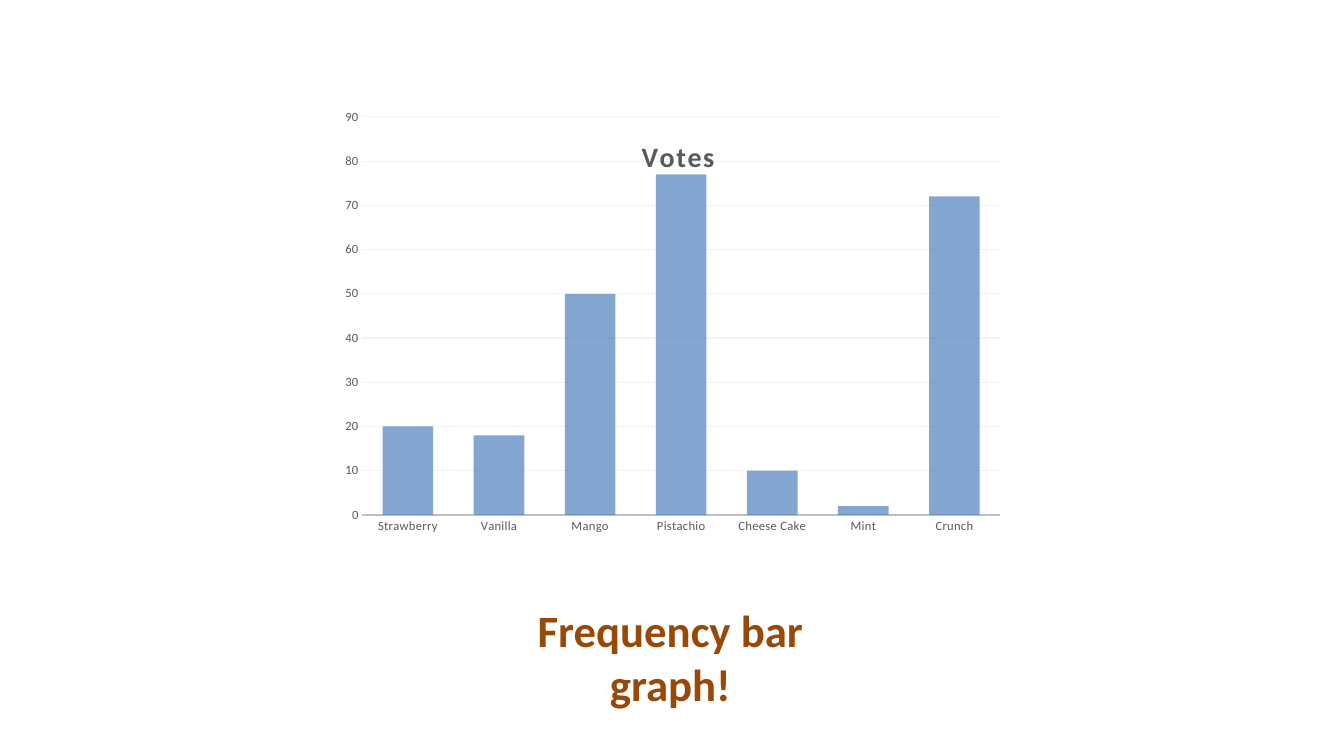
from pptx import Presentation
from pptx.chart.data import CategoryChartData
from pptx.dml.color import RGBColor
from pptx.enum.chart import XL_CHART_TYPE, XL_TICK_MARK
from pptx.enum.text import MSO_ANCHOR, MSO_AUTO_SIZE, PP_ALIGN
from pptx.oxml import parse_xml
from pptx.oxml.ns import nsdecls, qn
from pptx.util import Pt

PX = 9525
COLORS = {
    "bar": "4F81BD", "text": "595959", "axis": "BFBFBF",
    "grid": "F2F2F2", "title": "984807",
}
VOTES = {
    "Strawberry": 20, "Vanilla": 18, "Mango": 50, "Pistachio": 77,
    "Cheese Cake": 10, "Mint": 2, "Crunch": 72,
}


def style(font, size, color, bold=False, gap=0):
    """Set a Calibri font; gap is letter spacing in hundredths of a point."""
    font.name, font.size, font.bold = "Calibri", Pt(size), bold
    font.color.rgb = RGBColor.from_string(COLORS[color])
    if gap:
        font._rPr.set("spc", str(gap))


def place(part, index, **box):
    """Give a chart part a manual layout in fractions of the chart."""
    old = part.find(qn("c:layout"))
    if old is not None:
        part.remove(old)
    target = '<c:layoutTarget val="inner"/>' if "w" in box else ""
    modes = "".join(f'<c:{key}Mode val="edge"/>' for key in "xy")
    sizes = "".join(f'<c:{key} val="{val}"/>' for key, val in box.items())
    part.insert(index, parse_xml(
        f'<c:layout {nsdecls("c")}><c:manualLayout>{target}{modes}{sizes}'
        '</c:manualLayout></c:layout>'))


deck = Presentation()
deck.slide_width, deck.slide_height = 1280 * PX, 720 * PX
slide = deck.slides.add_slide(deck.slide_layouts[5])

# Chart
data = CategoryChartData()
data.categories = list(VOTES)
data.add_series("Series 1", list(VOTES.values()))
frame = slide.shapes.add_chart(
    XL_CHART_TYPE.COLUMN_CLUSTERED, 319 * PX, 102 * PX, 653 * PX, 468 * PX, data)
chart = frame.chart
chart.has_legend = False
chart.font.name, chart.font.size = "Calibri", Pt(10)
place(chart._chartSpace.chart.plotArea, 0, x=0.04, y=0.02, w=0.93, h=0.81)

# Chart title, laid over the plot
chart.has_title = True
head = chart.chart_title
run = head.text_frame.paragraphs[0].add_run()
run.text = "Votes"
style(run.font, 20, "text", True, 100)
place(head._element, 1, x=0.44, y=0.05)
head._element.find(qn("c:overlay")).set("val", "1")

# Bars
plot = chart.plots[0]
plot.gap_width, plot.overlap, plot.vary_by_categories = 80, 25, False
fill = plot.series[0].format.fill
fill.solid()
fill.fore_color.rgb = RGBColor.from_string(COLORS["bar"])
tint = plot.series[0]._element.find(".//" + qn("a:srgbClr"))
tint.append(parse_xml(f'<a:alpha {nsdecls("a")} val="70000"/>'))

# Axes
cats, vals = chart.category_axis, chart.value_axis
for axis in (cats, vals):
    axis.major_tick_mark = axis.minor_tick_mark = XL_TICK_MARK.NONE
    style(axis.tick_labels.font, 9, "text", gap=20)
vals.minimum_scale, vals.maximum_scale, vals.major_unit = 0, 90, 10
vals.format.line.fill.background()
vals.has_major_gridlines = True
for line, color, width in (
    (cats.format.line, "axis", 1.25),
    (vals.major_gridlines.format.line, "grid", 0.75),
):
    line.color.rgb = RGBColor.from_string(COLORS[color])
    line.width = Pt(width)

# Slide title
title = slide.shapes.title
title.left, title.top, title.width, title.height = (
    n * PX for n in (461, 569, 355, 113))
text = title.text_frame
text.text = "Frequency bar graph!"
text.word_wrap = True
text.auto_size = MSO_AUTO_SIZE.SHAPE_TO_FIT_TEXT
text.vertical_anchor = MSO_ANCHOR.TOP
text.paragraphs[0].alignment = PP_ALIGN.CENTER
style(text.paragraphs[0].font, 32, "title", True)

deck.save("out.pptx")
